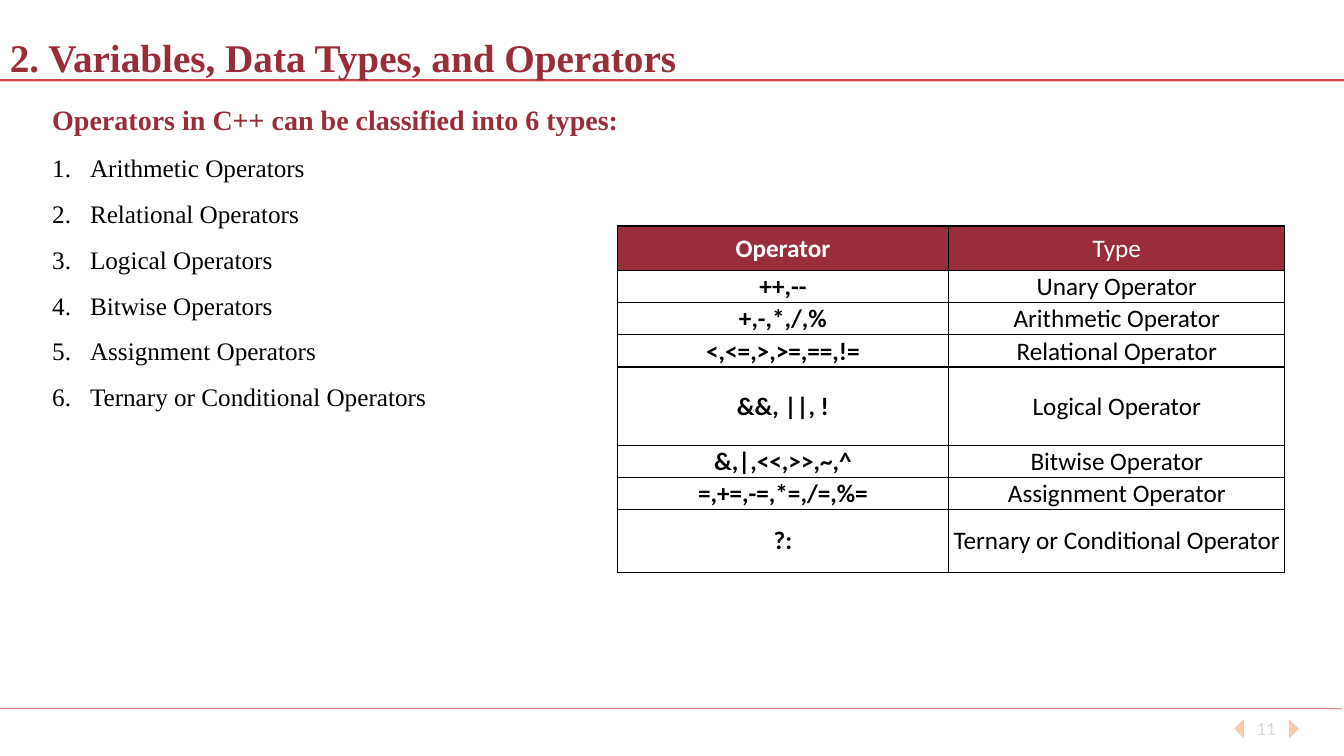
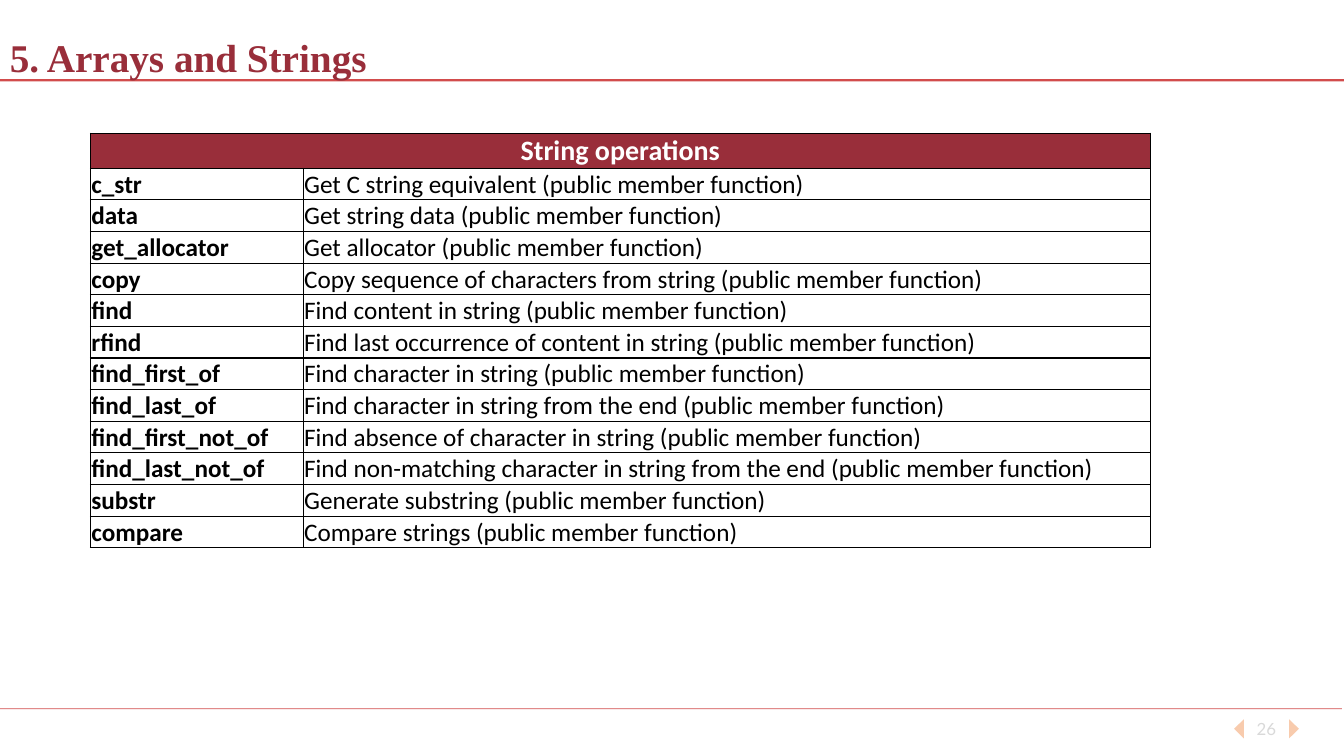
from pptx import Presentation
from pptx.dml.color import RGBColor
from pptx.enum.shapes import MSO_CONNECTOR
from pptx.enum.text import MSO_ANCHOR, PP_ALIGN
from pptx.oxml.ns import qn
from pptx.util import Pt
from lxml import etree

LEFT, CENTER = PP_ALIGN.LEFT, PP_ALIGN.CENTER
TOP, MIDDLE, BOTTOM = MSO_ANCHOR.TOP, MSO_ANCHOR.MIDDLE, MSO_ANCHOR.BOTTOM
STRAIGHT = MSO_CONNECTOR.STRAIGHT

WIDTH, HEIGHT = 960, 540
MAROON, RULE, PEACH = "992E3A", "C00000", "F8CBAD"
GREY, BLACK, WHITE = "D9D9D9", "000000", "FFFFFF"
SERIF, SANS, NUMBER_FONT = "Times New Roman", "Calibri", "Lato"


def rgb(color):
    return RGBColor.from_string(color)


def child(parent, tag, **attrs):
    el = etree.SubElement(parent, qn(tag))
    for name, value in attrs.items():
        el.set(name, str(value))
    return el


def write(p, text, size=18, color=BLACK, font=SERIF, bold=False, align=LEFT):
    p.alignment = align
    r = p.add_run()
    r.text = text
    r.font.size = Pt(size)
    r.font.name = font
    r.font.bold = bold
    r.font.color.rgb = rgb(color)


def text_box(s, x, y, w, h, anchor=TOP):
    tf = s.shapes.add_textbox(Pt(x), Pt(y), Pt(w), Pt(h)).text_frame
    tf.word_wrap = True
    tf.vertical_anchor = anchor
    return tf


def rule(s, y, w, weight):
    c = s.shapes.add_connector(STRAIGHT, Pt(0), Pt(y), Pt(w), Pt(y))
    c.line.color.rgb = rgb(RULE)
    c.line.width = Pt(weight)
    spPr = c._element.spPr
    child(spPr.find(".//" + qn("a:srgbClr")), "a:alpha", val=70000)
    child(spPr, "a:effectLst")


def arrow(s, base_x, tip_x, y, h):
    fb = s.shapes.build_freeform(Pt(base_x), Pt(y))
    fb.add_line_segments([(Pt(tip_x), Pt(y + h / 2)), (Pt(base_x), Pt(y + h))])
    sp = fb.convert_to_shape()
    sp.shadow.inherit = False
    sp.fill.solid()
    sp.fill.fore_color.rgb = rgb(PEACH)
    sp.line.fill.background()


def footer(s, number, x=881.5, y=506.2, w=46.3, h=28.8):
    arrow_w, arrow_h = 7, 13.6
    arrow_y = y + (h - arrow_h) / 2
    tf = text_box(s, x + 3, y, w - 6, h, MIDDLE)
    write(tf.paragraphs[0], str(number), size=12, color=GREY, font=NUMBER_FONT, align=CENTER)
    arrow(s, x + w - arrow_w, x + w, arrow_y, arrow_h)
    arrow(s, x + arrow_w, x, arrow_y, arrow_h)
    rule(s, y, 958.5, 0.5)


def base_slide(prs, title, number):
    s = prs.slides.add_slide(prs.slide_layouts[6])
    footer(s, number)
    rule(s, 57.3, WIDTH, 1.5)
    tf = text_box(s, 0, 20.2, 892, 41)
    write(tf.paragraphs[0], title, size=28, color=MAROON, bold=True)
    return s


def numbered_list(s, x, y, w, h, heading, items):
    tf = text_box(s, x, y, w, h)
    write(tf.paragraphs[0], heading, size=20, color=MAROON, bold=True)
    for item in items:
        p = tf.add_paragraph()
        write(p, item)
    for i, p in enumerate(tf.paragraphs):
        p.line_spacing = 1.15
        p.space_after = Pt(8)
        if i:
            pPr = p._p.get_or_add_pPr()
            pPr.set("marL", str(Pt(27)))
            pPr.set("indent", str(Pt(-27)))
            child(pPr, "a:buFont", typeface="+mj-lt")
            child(pPr, "a:buAutoNum", type="arabicPeriod")


def cell_borders(cell):
    tcPr = cell._tc.get_or_add_tcPr()
    for tag in ("a:lnL", "a:lnR", "a:lnT", "a:lnB"):
        ln = child(tcPr, tag, w=Pt(1))
        child(child(ln, "a:solidFill"), "a:srgbClr", val=BLACK)


def grid(s, x, y, widths, heights, rows, header_size=18, anchor=MIDDLE, align=CENTER):
    """Table with a maroon header row and a bold first column."""
    frame = s.shapes.add_table(len(rows), len(widths), Pt(x), Pt(y),
                               Pt(sum(widths)), Pt(sum(heights)))
    table = frame.table
    table.first_row = table.horz_banding = False
    for col, w in zip(table.columns, widths):
        col.width = Pt(w)
    for i, (row, h) in enumerate(zip(rows, heights)):
        table.rows[i].height = Pt(h)
        for j in range(len(widths)):
            cell = table.cell(i, j)
            cell.margin_left = cell.margin_right = cell.margin_top = Pt(0.7)
            cell.margin_bottom = 0
            cell.vertical_anchor = anchor
            cell_borders(cell)
            if i == 0:
                cell.fill.solid()
                cell.fill.fore_color.rgb = rgb(MAROON)
            else:
                cell.fill.background()
            if j < len(row):
                write(cell.text_frame.paragraphs[0], row[j], font=SANS, bold=j == 0,
                      size=18 if i else header_size,
                      color=BLACK if i else WHITE,
                      align=align if i else CENTER)
        # A short row spans the full width
        if len(row) < len(widths):
            table.cell(i, 0).merge(table.cell(i, len(widths) - 1))


def operators_slide(prs):
    s = base_slide(prs, "2. Variables, Data Types, and Operators", 11)
    numbered_list(s, 30.2, 66.2, 480, 230,
                  "Operators in C++ can be classified into 6 types:",
                  ["Arithmetic Operators", "Relational Operators", "Logical Operators",
                   "Bitwise Operators", "Assignment Operators",
                   "Ternary or Conditional Operators"])
    rows = [
        ("Operator", "Type"),
        ("++,--", "Unary Operator"),
        ("+,-,*,/,%", "Arithmetic Operator"),
        ("<,<=,>,>=,==,!=", "Relational Operator"),
        ("&&, ||, !", "Logical Operator"),
        ("&,|,<<,>>,~,^", "Bitwise Operator"),
        ("=,+=,-=,*=,/=,%=", "Assignment Operator"),
        ("?:", "Ternary or Conditional Operator"),
    ]
    grid(s, 440.8, 161.5, [237, 240], [31.7, 23, 23, 23, 56.2, 22.7, 22.7, 45], rows)


def strings_slide(prs):
    s = base_slide(prs, "5. Arrays and Strings", 26)
    operations = [
        ("c_str", "Get C string equivalent"),
        ("data", "Get string data"),
        ("get_allocator", "Get allocator"),
        ("copy", "Copy sequence of characters from string"),
        ("find", "Find content in string"),
        ("rfind", "Find last occurrence of content in string"),
        ("find_first_of", "Find character in string"),
        ("find_last_of", "Find character in string from the end"),
        ("find_first_not_of", "Find absence of character in string"),
        ("find_last_not_of", "Find non-matching character in string from the end"),
        ("substr", "Generate substring"),
        ("compare", "Compare strings"),
    ]
    rows = [("String operations",)]
    rows += [(name, f"{use} (public member function)") for name, use in operations]
    grid(s, 64.6, 95.2, [152, 605], [25] + [22.6] * len(operations), rows,
         header_size=20, anchor=BOTTOM, align=LEFT)


def main():
    prs = Presentation()
    prs.slide_width, prs.slide_height = Pt(WIDTH), Pt(HEIGHT)
    operators_slide(prs)
    strings_slide(prs)
    prs.save("out.pptx")


if __name__ == "__main__":
    main()
